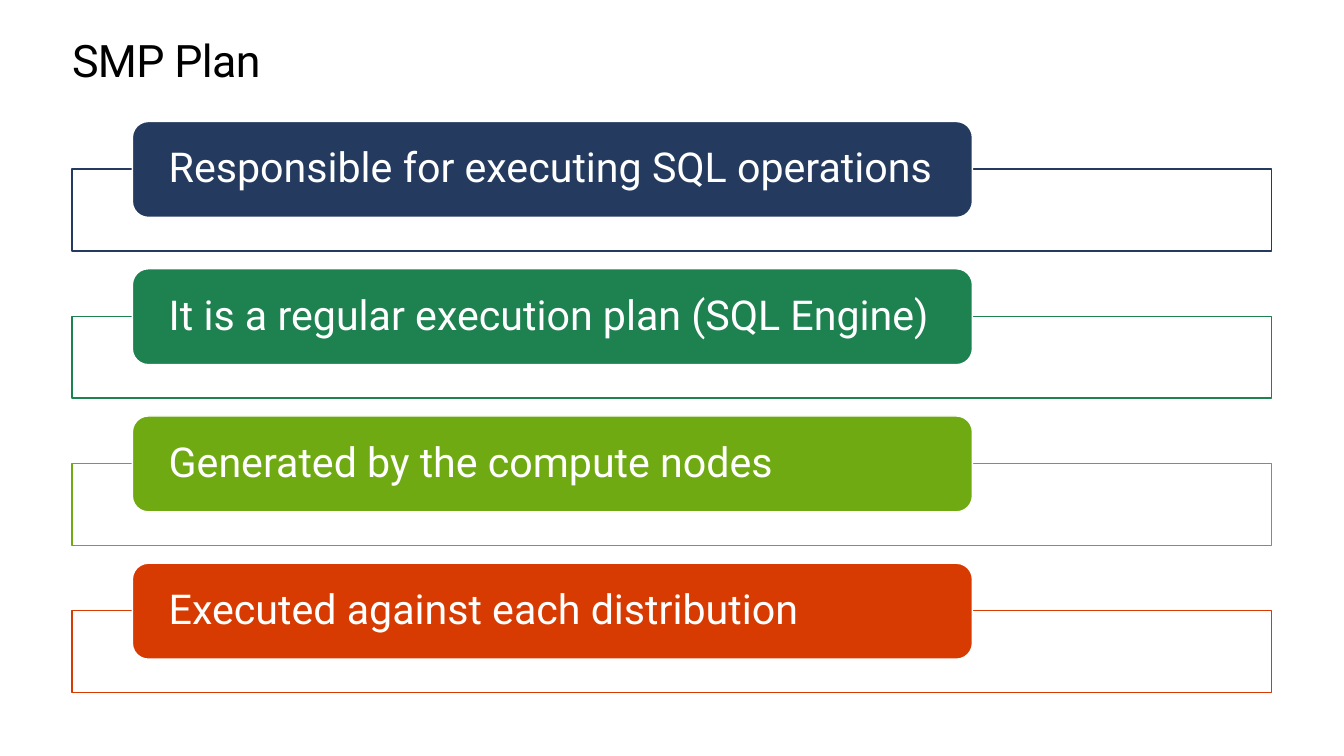
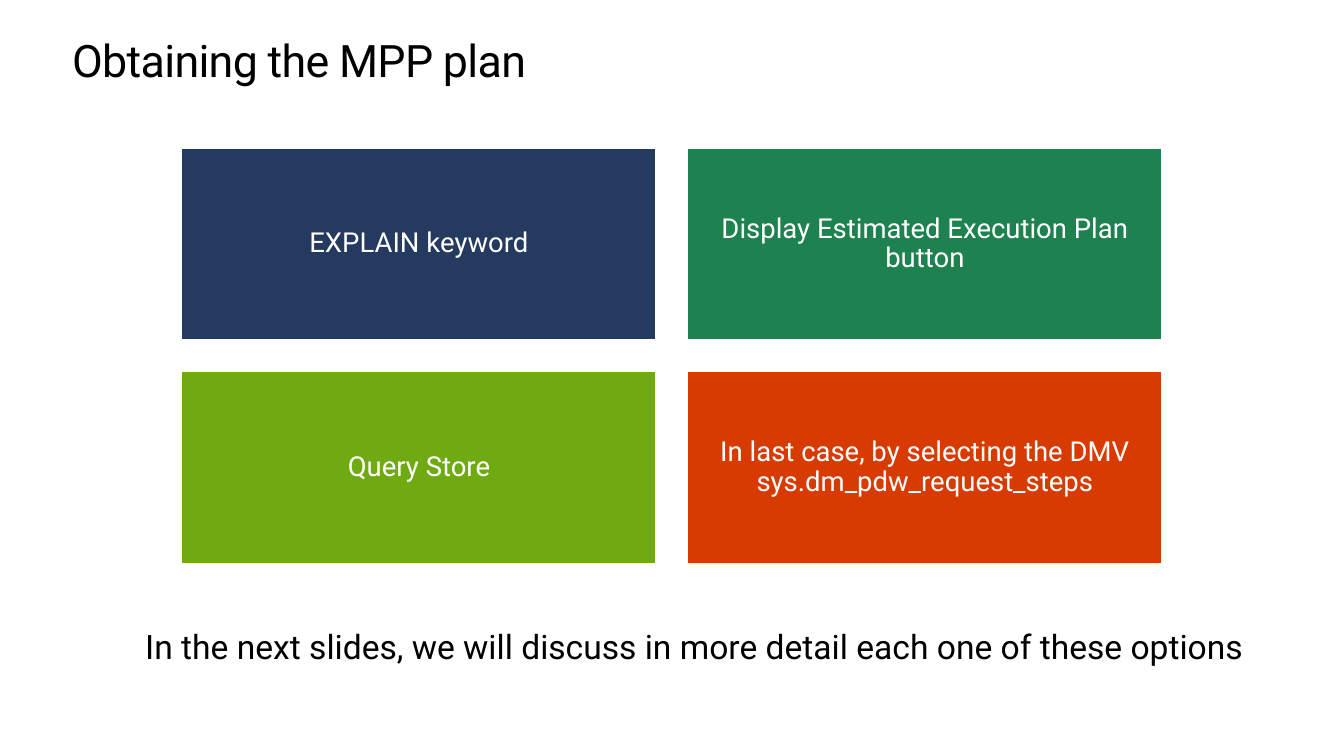
from dataclasses import dataclass
from typing import Any

from pptx import Presentation
from pptx.dml.color import RGBColor
from pptx.enum.shapes import MSO_SHAPE
from pptx.enum.text import MSO_ANCHOR, PP_ALIGN
from pptx.util import Emu, Pt

PX = 9144
FONT = "Roboto"
COLORS = {
    "navy": "243A5E",
    "green": "1E8150",
    "lime": "6FAA12",
    "orange": "D83B01",
    "white": "FFFFFF",
    "black": "000000",
}


@dataclass(frozen=True)
class Box:
    x: int
    y: int
    w: int
    h: int

    def emu(self) -> list[Emu]:
        return [Emu(v * PX) for v in (self.x, self.y, self.w, self.h)]


@dataclass(frozen=True)
class Item:
    text: str
    color: str


TITLE = Box(73, 36, 1214, 51)
CLOSING = Box(147, 633, 1117, 41)
FRAME = Box(73, 171, 1214, 83)
PILL = Box(134, 123, 850, 97)
ROW_PITCH = 149
TILE = Box(184, 150, 480, 194)
TILE_GAP = 32
TILE_COLS = 2

SMP_FACTS = [
    Item("Responsible for executing SQL operations", "navy"),
    Item("It is a regular execution plan (SQL Engine)", "green"),
    Item("Generated by the compute nodes", "lime"),
    Item("Executed against each distribution", "orange"),
]
MPP_OPTIONS = [
    Item("EXPLAIN keyword", "navy"),
    Item("Display Estimated Execution Plan button", "green"),
    Item("Query Store", "lime"),
    Item("In last case, by selecting the DMV sys.dm_pdw_request_steps", "orange"),
]


def rgb(name: str) -> RGBColor:
    return RGBColor.from_string(COLORS[name])


def apply(target: Any, values: dict[str, Any]) -> None:
    for name, value in values.items():
        setattr(target, name, value)


def write(sp: Any, text: str, size: float, color: str = "white", inset: tuple[int, int] = (0, 0),
          anchor: MSO_ANCHOR = MSO_ANCHOR.MIDDLE, align: PP_ALIGN = PP_ALIGN.LEFT,
          spacing: Any = 0.9) -> Any:
    tf = sp.text_frame
    side, edge = (Emu(v * PX) for v in inset)
    apply(tf, {"word_wrap": True, "vertical_anchor": anchor, "margin_left": side,
               "margin_right": side, "margin_top": edge, "margin_bottom": edge})
    p = tf.paragraphs[0]
    apply(p, {"alignment": align, "line_spacing": spacing})
    r = p.add_run()
    r.text = text
    apply(r.font, {"name": FONT, "size": Pt(size)})
    r.font.color.rgb = rgb(color)
    return r


def add_box(s: Any, kind: MSO_SHAPE, box: Box, fill: str, line: str) -> Any:
    sp = s.shapes.add_shape(kind, *box.emu())
    sp.shadow.inherit = False
    sp.fill.solid()
    sp.fill.fore_color.rgb = rgb(fill)
    sp.line.color.rgb = rgb(line)
    sp.line.width = Pt(1)
    return sp


def add_slide(prs: Any, title: str) -> Any:
    s = prs.slides.add_slide(prs.slide_layouts[5])
    sp = s.shapes.title
    apply(sp, dict(zip(("left", "top", "width", "height"), TITLE.emu())))
    r = write(sp, title, 32.6, "black", anchor=MSO_ANCHOR.TOP, spacing=Pt(36.9))
    r.font._element.set("spc", "-50")
    return s


def add_smp_plan(prs: Any) -> None:
    s = add_slide(prs, "SMP Plan")
    for i, item in enumerate(SMP_FACTS):
        dy = i * ROW_PITCH
        frame = Box(FRAME.x, FRAME.y + dy, FRAME.w, FRAME.h)
        pill = Box(PILL.x, PILL.y + dy, PILL.w, PILL.h)
        add_box(s, MSO_SHAPE.RECTANGLE, frame, "white", item.color)
        sp = add_box(s, MSO_SHAPE.ROUNDED_RECTANGLE, pill, item.color, "white")
        write(sp, item.text, 30, inset=(32, 0))


def add_mpp_options(prs: Any) -> None:
    s = add_slide(prs, "Obtaining the MPP plan")
    for i, item in enumerate(MPP_OPTIONS):
        row, col = divmod(i, TILE_COLS)
        tile = Box(TILE.x + col * (TILE.w + TILE_GAP),
                   TILE.y + row * (TILE.h + TILE_GAP), TILE.w, TILE.h)
        sp = add_box(s, MSO_SHAPE.RECTANGLE, tile, item.color, "white")
        write(sp, item.text, 20, inset=(8, 8), align=PP_ALIGN.CENTER)
    write(s.shapes.add_textbox(*CLOSING.emu()),
          "In the next slides, we will discuss in more detail each one of these options",
          24.5, "black", anchor=MSO_ANCHOR.TOP, spacing=1.0)


def main() -> None:
    prs = Presentation()
    apply(prs, {"slide_width": Emu(1360 * PX), "slide_height": Emu(765 * PX)})
    add_smp_plan(prs)
    add_mpp_options(prs)
    prs.save("out.pptx")


if __name__ == "__main__":
    main()
